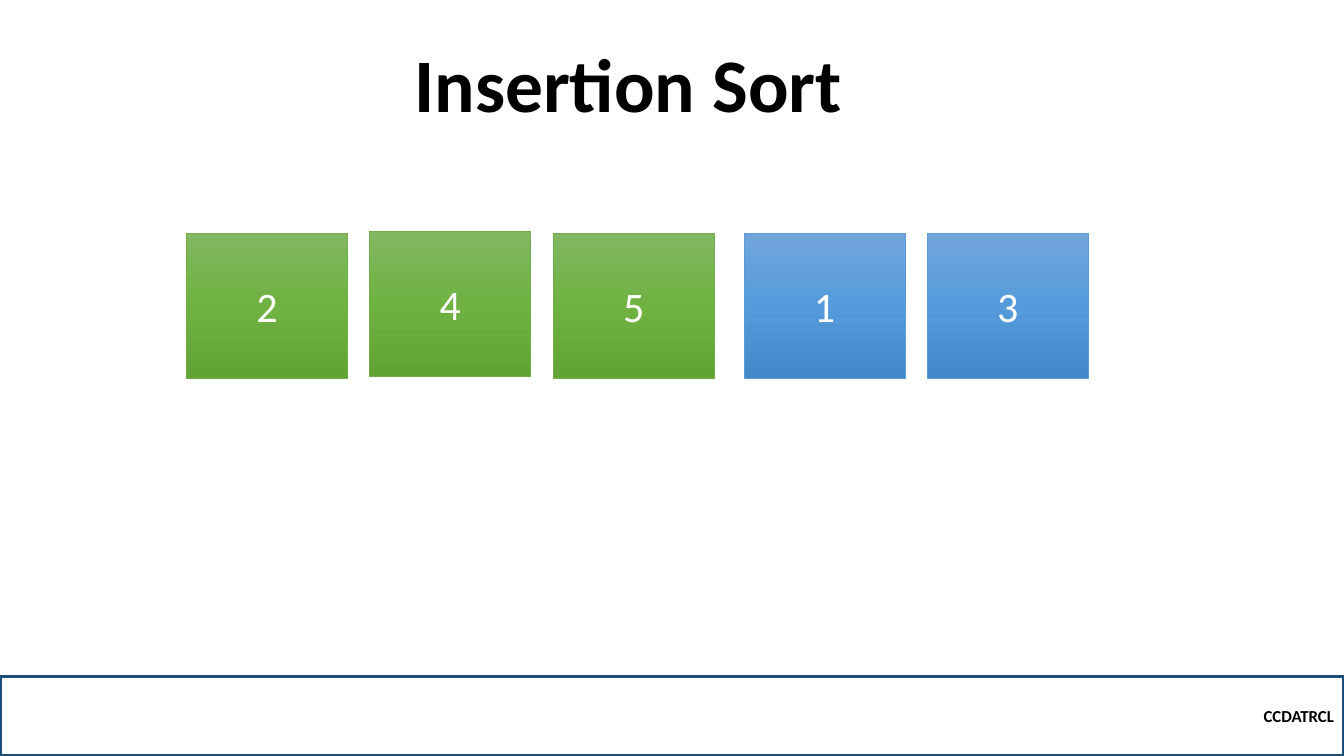
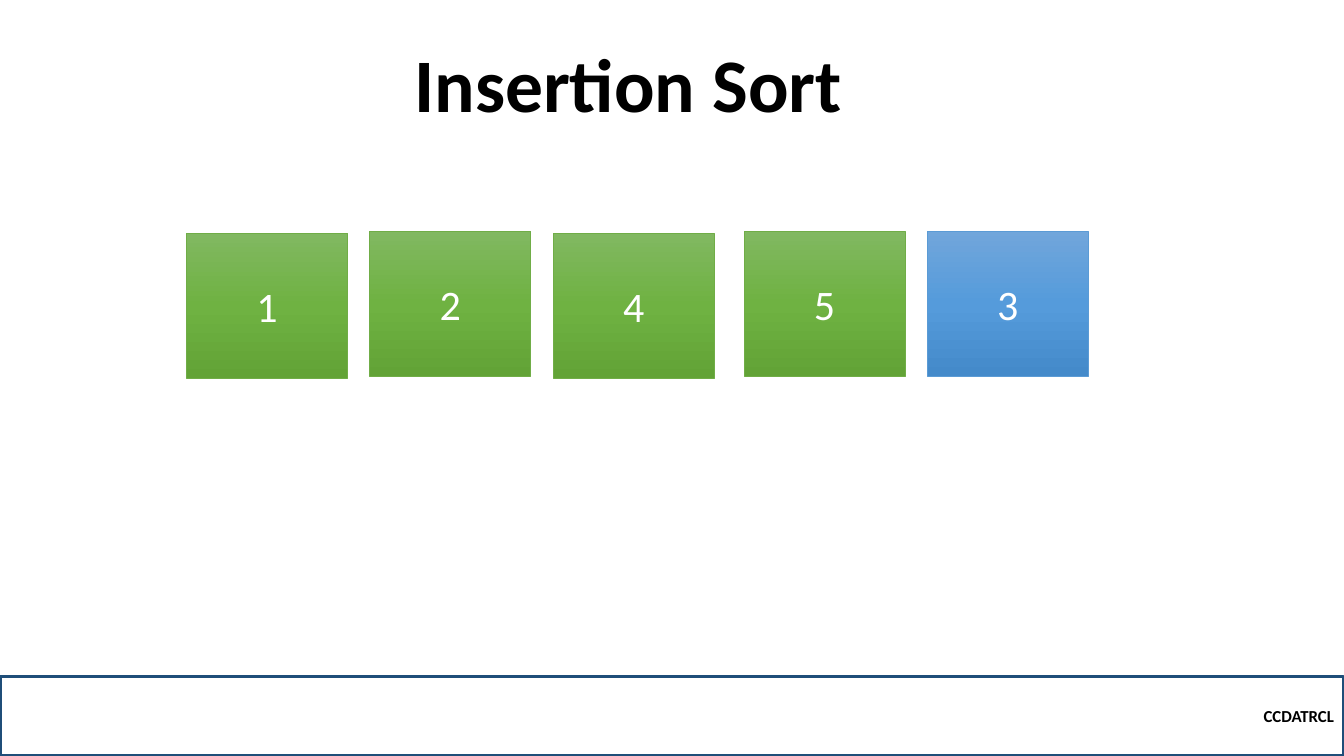
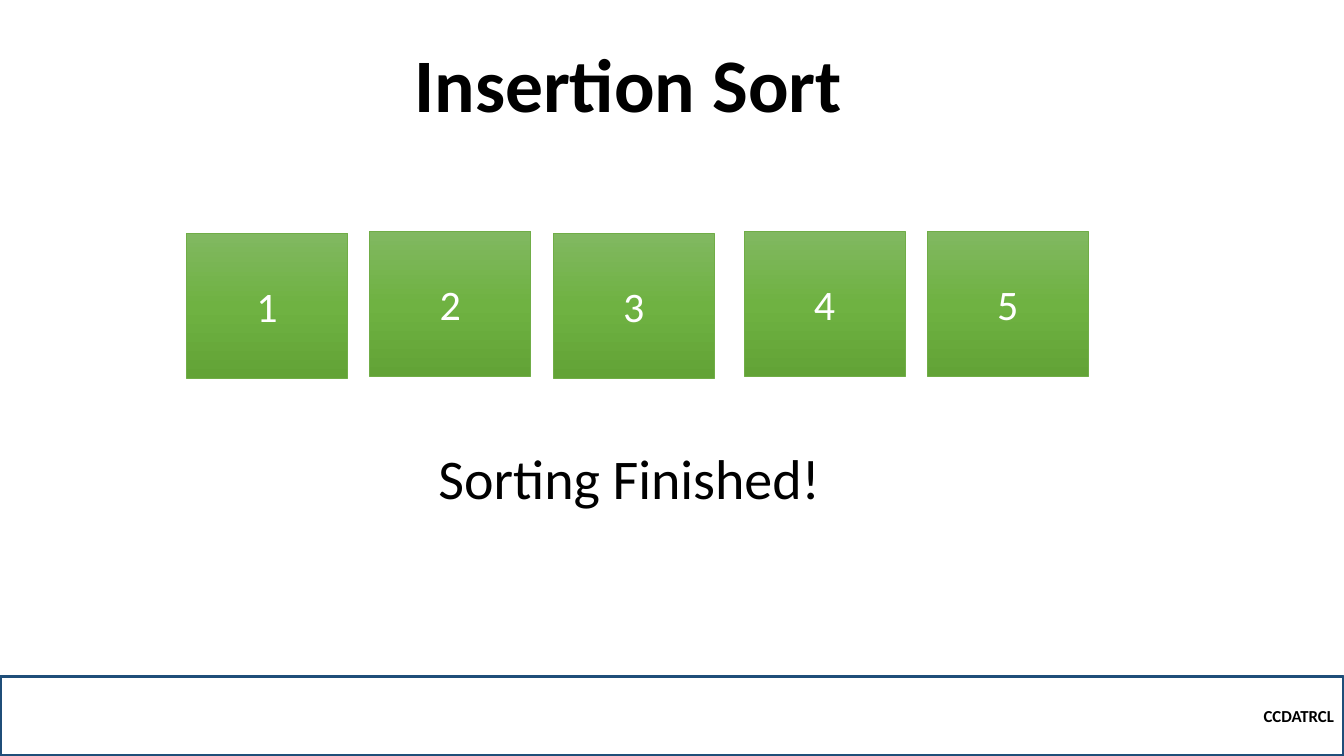
"""Build three slides showing the last steps of an insertion sort."""
from copy import deepcopy

from pptx import Presentation
from pptx.dml.color import RGBColor
from pptx.enum.shapes import MSO_SHAPE
from pptx.enum.text import MSO_ANCHOR, MSO_AUTO_SIZE, PP_ALIGN
from pptx.oxml.ns import qn
from pptx.util import Cm, Pt

TITLE = "Insertion Sort"
FOOTER = "CCDATRCL"
STEPS = [
    {"values": [2, 4, 5, 1, 3], "sorted": 3, "raised": {1}, "message": None},
    {"values": [1, 2, 4, 5, 3], "sorted": 4, "raised": {1, 3, 4}, "message": None},
    {"values": [1, 2, 3, 4, 5], "sorted": 5, "raised": {1, 3, 4},
     "message": "Sorting Finished!"},
]

FONT = "Calibri"
BLACK = RGBColor(0x00, 0x00, 0x00)
WHITE = RGBColor(0xFF, 0xFF, 0xFF)
NAVY = RGBColor(0x1F, 0x4E, 0x79)
GREEN_LINE = RGBColor(0x70, 0xAD, 0x47)
BLUE_LINE = RGBColor(0x5B, 0x9B, 0xD5)
GREEN_STOPS = [RGBColor(0x81, 0xB8, 0x61), RGBColor(0x6F, 0xB2, 0x42),
               RGBColor(0x62, 0xA3, 0x36)]
BLUE_STOPS = [RGBColor(0x71, 0xA6, 0xDB), RGBColor(0x55, 0x9B, 0xDB),
              RGBColor(0x44, 0x8A, 0xCA)]

RECTANGLE = MSO_SHAPE.RECTANGLE
LEFT, CENTER, RIGHT = PP_ALIGN.LEFT, PP_ALIGN.CENTER, PP_ALIGN.RIGHT
TOP, MIDDLE, BOTTOM = MSO_ANCHOR.TOP, MSO_ANCHOR.MIDDLE, MSO_ANCHOR.BOTTOM
NO_FIT = MSO_AUTO_SIZE.NONE
TITLE_ONLY = 5

SLIDE_WIDTH, SLIDE_HEIGHT = 33.87, 19.05
FOOTER_HEIGHT = 2.01
BOX_LEFT, BOX_TOP = 4.7, 5.87
BOX_WIDTH, BOX_HEIGHT = 4.06, 3.66
BOX_PITCH = 4.62
RAISE = 0.05
WIDE_GAP_AT, WIDE_GAP_EXTRA = 3, 0.19


def write(shape, text, size, color, alignment, anchor, bold=False):
    """Write one styled line in a shape and return its paragraph."""
    frame = shape.text_frame
    frame.word_wrap = True
    frame.auto_size = NO_FIT
    frame.vertical_anchor = anchor
    paragraph = frame.paragraphs[0]
    paragraph.alignment = alignment
    run = paragraph.add_run()
    run.text = text
    run.font.name = FONT
    run.font.size = Pt(size)
    run.font.bold = bold
    run.font.color.rgb = color
    return paragraph


def add_box(slide, left, top, width, height, line_color, line_width):
    """Add a rectangle with a plain outline."""
    box = slide.shapes.add_shape(RECTANGLE, Cm(left), Cm(top), Cm(width), Cm(height))
    box.shadow.inherit = False
    box.line.color.rgb = line_color
    box.line.width = Pt(line_width)
    return box


def fill_gradient(shape, colors):
    """Fill a shape from top to bottom with evenly spaced colours."""
    fill = shape.fill
    fill.gradient()
    fill.gradient_angle = 270
    stop_list = next(shape.element.iter(qn("a:gsLst")))
    while len(stop_list) < len(colors):
        stop_list.append(deepcopy(stop_list[-1]))
    for index, (stop, color) in enumerate(zip(fill.gradient_stops, colors)):
        stop.position = index / (len(colors) - 1)
        stop.color.rgb = color


def add_title(slide):
    """Place and style the slide title."""
    title = slide.shapes.title
    title.left, title.top = Cm(2.03), Cm(1.37)
    title.width, title.height = Cm(27.61), Cm(2.01)
    paragraph = write(title, TITLE, 54, BLACK, CENTER, BOTTOM, bold=True)
    paragraph.line_spacing = 0.9


def add_footer(slide):
    """Add the outlined band along the bottom."""
    band = add_box(slide, 0, SLIDE_HEIGHT - FOOTER_HEIGHT, SLIDE_WIDTH,
                   FOOTER_HEIGHT, NAVY, 2.25)
    band.fill.background()
    write(band, FOOTER, 12, BLACK, RIGHT, MIDDLE, bold=True)


def add_values(slide, step):
    """Add the row of values, sorted ones in green."""
    for index, value in enumerate(step["values"]):
        left = BOX_LEFT + index * BOX_PITCH
        if index >= WIDE_GAP_AT:
            left += WIDE_GAP_EXTRA
        top = BOX_TOP - RAISE * (index in step["raised"])
        is_sorted = index < step["sorted"]
        box = add_box(slide, left, top, BOX_WIDTH, BOX_HEIGHT,
                      GREEN_LINE if is_sorted else BLUE_LINE, 0.5)
        fill_gradient(box, GREEN_STOPS if is_sorted else BLUE_STOPS)
        write(box, str(value), 30, WHITE, CENTER, MIDDLE)


def add_message(slide, message):
    """Add the closing message under the row."""
    box = slide.shapes.add_textbox(Cm(10.8), Cm(11.05), Cm(10.21), Cm(1.96))
    write(box, message, 40, BLACK, LEFT, TOP)


presentation = Presentation()
presentation.slide_width = Cm(SLIDE_WIDTH)
presentation.slide_height = Cm(SLIDE_HEIGHT)
for step in STEPS:
    slide = presentation.slides.add_slide(presentation.slide_layouts[TITLE_ONLY])
    add_title(slide)
    add_footer(slide)
    add_values(slide, step)
    if step["message"]:
        add_message(slide, step["message"])
presentation.save("out.pptx")
